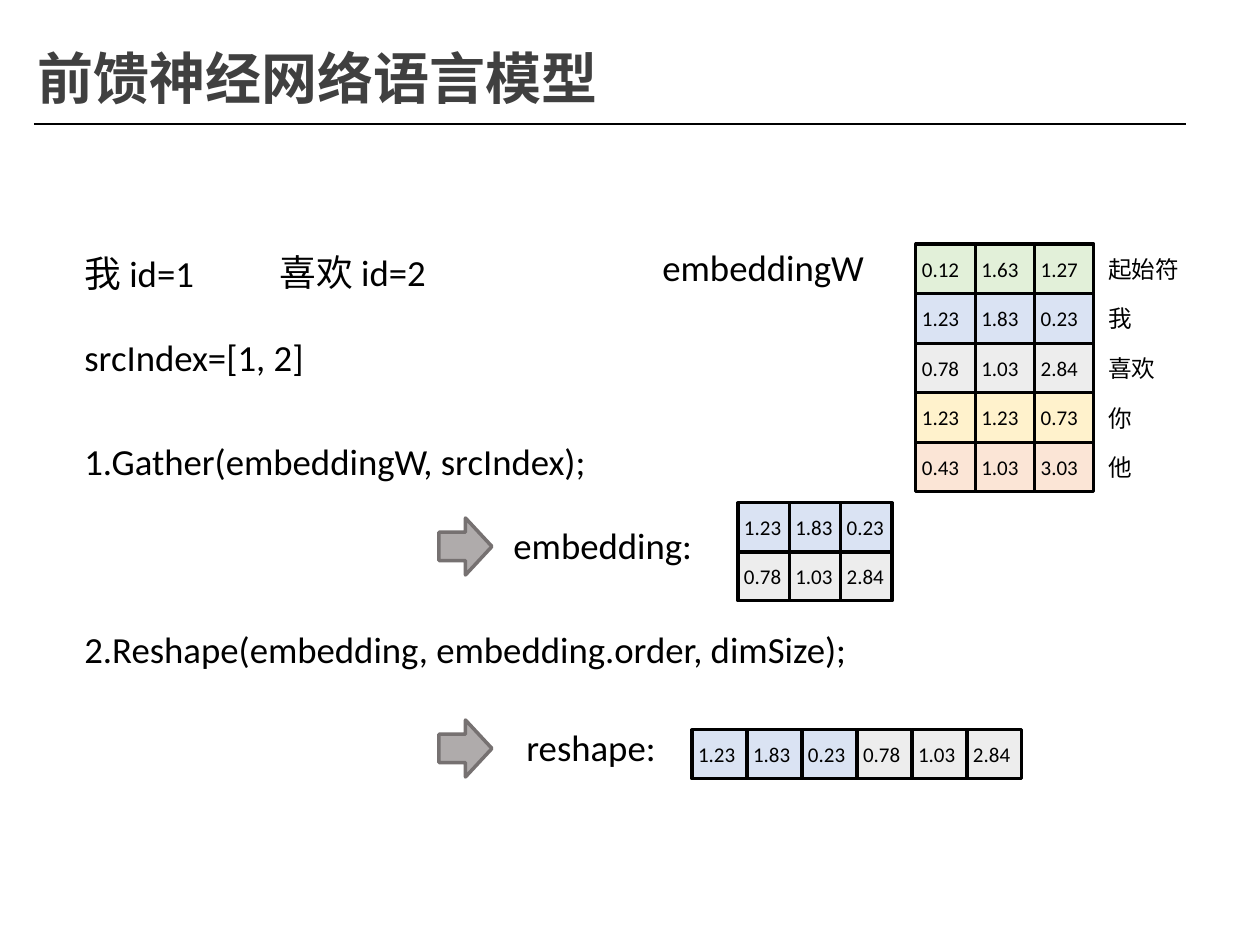
from lxml.etree import SubElement
from pptx import Presentation
from pptx.dml.color import RGBColor
from pptx.enum.shapes import MSO_CONNECTOR, MSO_SHAPE
from pptx.enum.text import MSO_ANCHOR, MSO_AUTO_SIZE, PP_ALIGN
from pptx.oxml.ns import qn
from pptx.util import Pt

EMU_PER_PX = 914400 / 126
BLACK = "000000"
VECTORS = {
    "起始符": ("E2F0D9", ["0.12", "1.63", "1.27"]),
    "我": ("DAE3F3", ["1.23", "1.83", "0.23"]),
    "喜欢": ("EDEDED", ["0.78", "1.03", "2.84"]),
    "你": ("FFF2CC", ["1.23", "1.23", "0.73"]),
    "他": ("FBE5D6", ["0.43", "1.03", "3.03"]),
}


def px(length):
    """Turn a length in px into EMU."""
    return round(length * EMU_PER_PX)


def place(box):
    """Turn a box in px into left, top, width and height in EMU."""
    return [px(length) for length in box]


def color(hex_code):
    """Return the colour of a hex string."""
    return RGBColor.from_string(hex_code)


def style(frame, size, font_name="Calibri", hex_code=BLACK, bold=False):
    """Format every run of a text frame."""
    for paragraph in frame.paragraphs:
        for run in paragraph.runs:
            run.font.name = font_name
            run.font.size = Pt(size)
            run.font.bold = bold
            run.font.color.rgb = color(hex_code)


def add_text(slide, box, wording, size=21, wrap=True, anchor=MSO_ANCHOR.TOP):
    """Add a text box with one line of wording."""
    frame = slide.shapes.add_textbox(*place(box)).text_frame
    frame.word_wrap = wrap
    frame.vertical_anchor = anchor
    frame.text = wording
    style(frame, size)


def add_block(shapes, kind, box, fill, outline, weight):
    """Add a filled and outlined preset shape."""
    block = shapes.add_shape(kind, *place(box))
    block.shadow.inherit = False
    block.fill.solid()
    block.fill.fore_color.rgb = color(fill)
    block.line.color.rgb = color(outline)
    block.line.width = Pt(weight)
    return block


def add_header(slide, box, wording):
    """Place the slide title and the rule beneath it."""
    left, top, width, height = box
    title = slide.shapes.title
    title.left, title.top, title.width, title.height = place((left, top, 612, height))
    frame = title.text_frame
    frame.text = wording
    frame.word_wrap = True
    frame.auto_size = MSO_AUTO_SIZE.NONE
    frame.vertical_anchor = MSO_ANCHOR.MIDDLE
    frame.paragraphs[0].alignment = PP_ALIGN.LEFT
    style(frame, 32, "Noto Sans CJK SC", "404040", True)
    properties = frame.paragraphs[0].runs[0].font._element
    SubElement(properties, qn("a:ea")).set("typeface", "Noto Sans CJK SC")

    rule_y = px(top + height + 6)
    rule = slide.shapes.add_connector(
        MSO_CONNECTOR.STRAIGHT, px(left + 9), rule_y, px(left + width), rule_y)
    rule.line.color.rgb = color(BLACK)
    rule.line.width = Pt(1.5)
    SubElement(rule._element.spPr, qn("a:effectLst"))


def vector_cells(word):
    """List the value and fill of each cell in a word's vector."""
    fill, values = VECTORS[word]
    return [(value, fill) for value in values]


def add_matrix(slide, box, rows):
    """Fill the box with an even grid of value cells."""
    left, top, width, height = box
    cell_width, cell_height = width / len(rows[0]), height / len(rows)
    matrix = slide.shapes.add_group_shape()
    for row_index, row in enumerate(rows):
        for column_index, (value, fill) in enumerate(row):
            cell_box = (left + column_index * cell_width, top + row_index * cell_height,
                        cell_width, cell_height)
            cell = add_block(matrix.shapes, MSO_SHAPE.RECTANGLE, cell_box, fill, BLACK, 1.75)
            frame = cell.text_frame
            frame.margin_left, frame.margin_right = px(6), 0
            frame.margin_top = frame.margin_bottom = 0
            frame.word_wrap = False
            frame.vertical_anchor = MSO_ANCHOR.MIDDLE
            frame.text = value
            frame.paragraphs[0].alignment = PP_ALIGN.LEFT
            style(frame, 12)


def add_inputs(slide, box):
    """Place the word ids and the index list."""
    left, top, width, height = box
    add_text(slide, (left, top + 1, 178, 57), "我 id=1")
    add_text(slide, (left + 195, top, 204, 57), "喜欢 id=2")
    add_text(slide, (left, top + height - 57, width, 57), "srcIndex=[1, 2]")


def add_embedding_weights(slide, box):
    """Place the weight matrix with its name and the word of each row."""
    left, top, width, height = box
    add_text(slide, (left - 266, top - 5, 260, 57), "embeddingW")
    add_matrix(slide, box, [vector_cells(word) for word in VECTORS])
    row_height = height / len(VECTORS)
    for row_index, word in enumerate(VECTORS):
        label_box = (left + width + 2, top + row_index * row_height, 97, row_height)
        add_text(slide, label_box, word, 13.5, False, MSO_ANCHOR.MIDDLE)


def add_step(slide, box, call, result, label_x, matrix_box, rows):
    """Place a call with an arrow to its named result, offset from the box."""
    left, top, width, height = box
    matrix_x, matrix_y, matrix_width, matrix_height = matrix_box
    result_y = top + height - 57
    add_text(slide, (left, top, width, 57), call)
    add_block(slide.shapes, MSO_SHAPE.RIGHT_ARROW, (left + 367, result_y + 1, 53, 57),
              "AFABAB", "767171", 2)
    add_text(slide, (left + label_x, result_y, 230, 57), result)
    add_matrix(slide, (left + matrix_x, top + matrix_y, matrix_width, matrix_height), rows)


def main():
    """Build the slide and save it."""
    presentation = Presentation()
    presentation.slide_width, presentation.slide_height = px(1260), px(945)
    slide = presentation.slides.add_slide(presentation.slide_layouts[5])
    chosen = [vector_cells("我"), vector_cells("喜欢")]

    add_header(slide, (25, 37, 1161, 81), "前馈神经网络语言模型")
    add_inputs(slide, (72, 244, 420, 142))
    add_embedding_weights(slide, (916, 244, 178, 248))
    add_step(slide, (72, 433, 923, 141), "1.Gather(embeddingW, srcIndex);",
             "embedding:", 429, (666, 70, 154, 98), chosen)
    add_step(slide, (72, 621, 923, 155), "2.Reshape(embedding, embedding.order, dimSize);",
             "reshape:", 442, (620, 109, 330, 49), [chosen[0] + chosen[1]])
    presentation.save("out.pptx")


if __name__ == "__main__":
    main()
